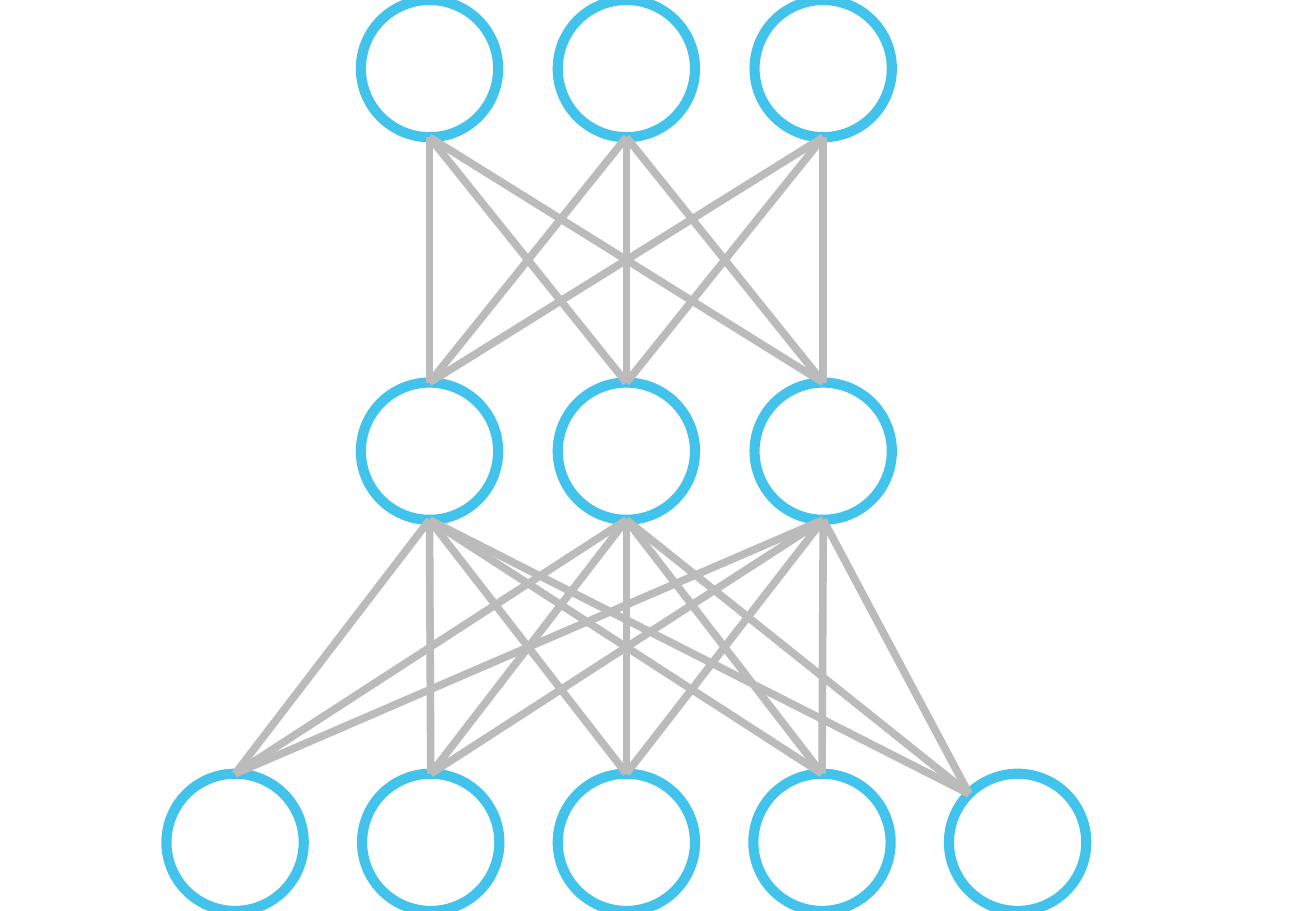
from dataclasses import dataclass
from itertools import product
from math import sqrt

from lxml.etree import SubElement
from pptx import Presentation
from pptx.dml.color import RGBColor
from pptx.enum.shapes import MSO_CONNECTOR, MSO_SHAPE
from pptx.oxml.ns import qn
from pptx.util import Inches, Pt


@dataclass(frozen=True)
class Theme:
    node: RGBColor = RGBColor(0x42, 0xC3, 0xEC)
    link: RGBColor = RGBColor(0xBA, 0xBB, 0xBA)
    node_width: float = 6
    link_width: float = 4.5
    diameter: float = 1.13


class Network:
    def __init__(self, slide, theme):
        self.slide, self.theme = slide, theme

    def style_line(self, line, color, width):
        line.color.rgb = color
        line.width = Pt(width)

    def node(self, left, top):
        d = Inches(self.theme.diameter)
        sp = self.slide.shapes.add_shape(
            MSO_SHAPE.OVAL, Inches(left), Inches(top), d, d)
        sp.shadow.inherit = False
        sp.fill.background()
        self.style_line(sp.line, self.theme.node, self.theme.node_width)
        return sp

    def layer(self, count, top, pitch, middle=4.59):
        """Place a row of nodes symmetrically about the middle node."""
        return [self.node(middle + (i - (count - 1) / 2) * pitch, top)
                for i in range(count)]

    def link(self, lower, upper, at_corner=False):
        """Join a lower node's top, or its upper left, to an upper node's base."""
        radius = lower.width // 2
        inset = int(radius * (1 - 1 / sqrt(2))) if at_corner else 0
        x = lower.left + (inset if at_corner else radius)
        c = self.slide.shapes.add_connector(
            MSO_CONNECTOR.STRAIGHT, x, lower.top + inset,
            upper.left + upper.width // 2, upper.top + upper.height)
        if not at_corner:
            c.begin_connect(lower, 0)
        self.style_line(c.line, self.theme.link, self.theme.link_width)
        SubElement(c._element.spPr, qn("a:effectLst"))


def main():
    prs = Presentation()
    prs.slide_width, prs.slide_height = Inches(10.83), Inches(7.5)
    s = prs.slides.add_slide(prs.slide_layouts[6])
    net = Network(s, Theme())

    # Layers of nodes
    inputs = net.layer(5, 6.37, 1.61)
    hidden = net.layer(3, 3.15, 1.62)
    outputs = net.layer(3, 0, 1.62)

    # Full connections between neighbouring layers
    for lower, upper in product(inputs, hidden):
        net.link(lower, upper, at_corner=lower is inputs[-1])
    for lower, upper in product(hidden, outputs):
        net.link(lower, upper)

    prs.save("out.pptx")


if __name__ == "__main__":
    main()
